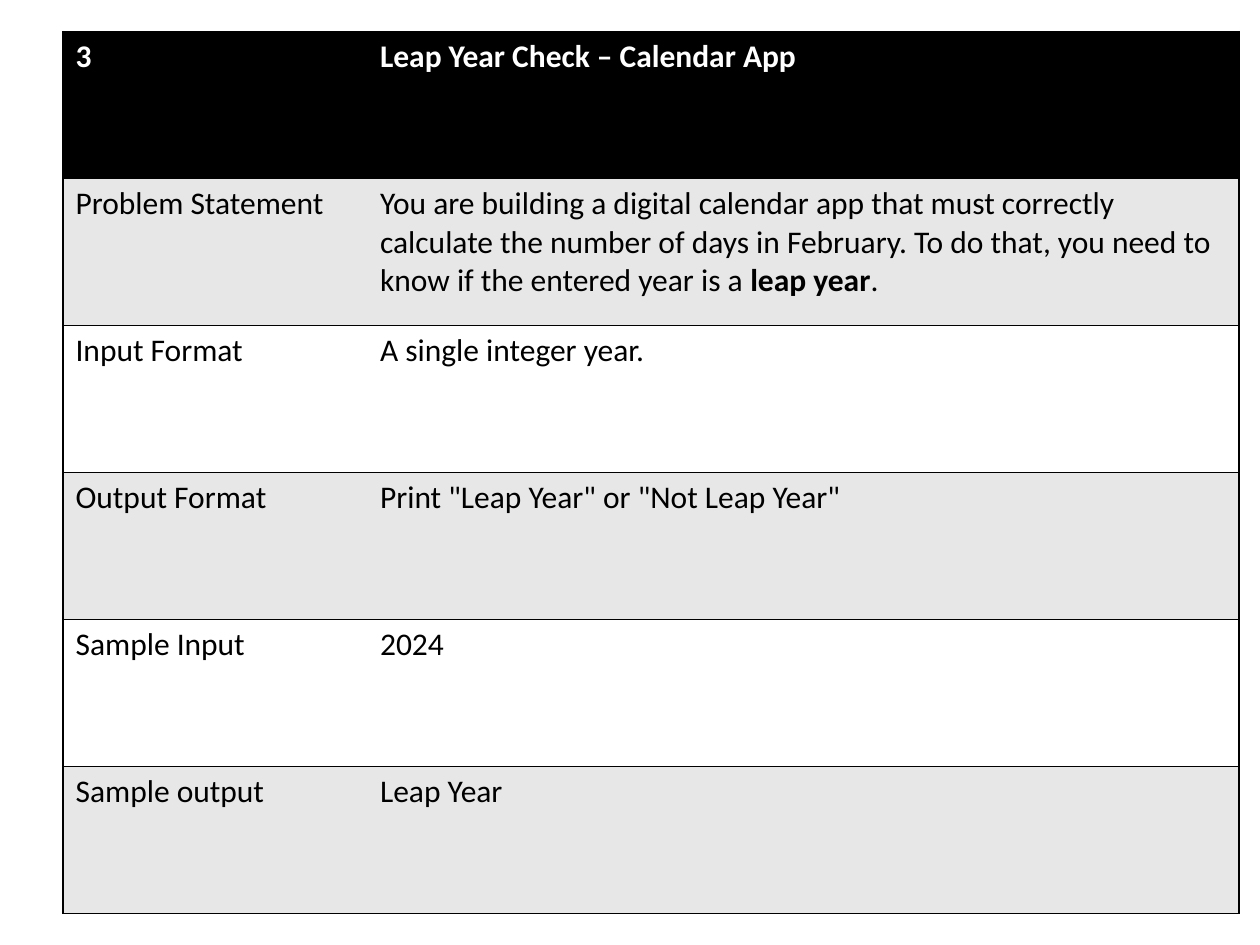
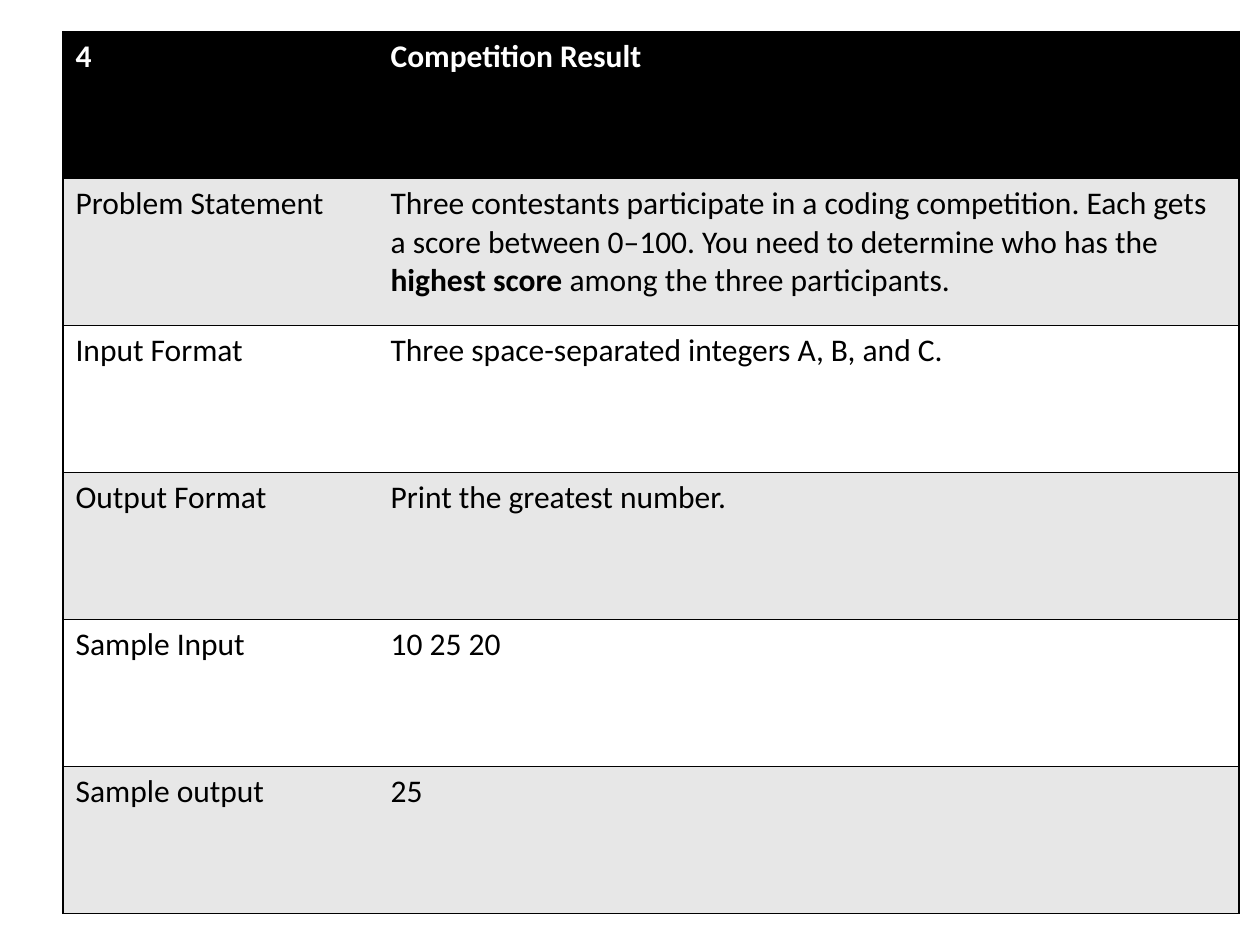
from lxml import etree
from pptx import Presentation
from pptx.dml.color import RGBColor
from pptx.oxml import ns
from pptx.util import Pt

BLACK, WHITE, GREY = "000000", "FFFFFF", "E7E7E7"
LABELS = ["Problem Statement", "Input Format", "Output Format", "Sample Input", "Sample output"]


def colour(hex_value):
    return RGBColor.from_string(hex_value)


def add_text(para, content, *, font="Calibri", size=18, fill=BLACK, bold=False):
    """Add one formatted span to a paragraph."""
    span = para.add_run()
    span.text = content
    span.font.name = font
    span.font.size = Pt(size)
    span.font.bold = bold
    span.font.color.rgb = colour(fill)


class Deck:
    """Holds the table style and the current page."""

    left, top, width, row_height = 36, 18, 672, 84

    def __init__(self):
        self.deck = Presentation()
        self.deck.slide_width, self.deck.slide_height = Pt(720), Pt(540)
        self.page = None

    def add_page(self):
        self.page = self.deck.slides.add_slide(self.deck.slide_layouts[6])

    def set_borders(self, cell, visible_sides):
        properties = cell._tc.get_or_add_tcPr()
        for side in "LRTB":
            line = etree.SubElement(properties, ns.qn(f"a:ln{side}"), w=str(Pt(1)))
            if side in visible_sides:
                solid = etree.SubElement(line, ns.qn("a:solidFill"))
                etree.SubElement(solid, ns.qn("a:srgbClr"), val=BLACK)
            else:
                etree.SubElement(line, ns.qn("a:noFill"))

    def add_cell(self, cell, spans, fill, sides, header):
        # Borders come before the fill in the cell properties
        self.set_borders(cell, sides)
        cell.fill.solid()
        cell.fill.fore_color.rgb = colour(fill)
        for content, bold in spans:
            add_text(cell.text_frame.paragraphs[0], content,
                     fill=WHITE if header else BLACK, bold=bold or header)

    def add_problem_table(self, number, title, answers, label_width):
        labels = [number, *LABELS]
        details = [[(title, True)], *answers]
        frame = self.page.shapes.add_table(
            len(labels), 2, Pt(self.left), Pt(self.top),
            Pt(self.width), Pt(self.row_height * len(labels)))
        table = frame.table
        table.columns[0].width = Pt(label_width)
        table.columns[1].width = Pt(self.width - label_width)
        for index, (label, detail) in enumerate(zip(labels, details)):
            header = index == 0
            fill = BLACK if header else GREY if index % 2 else WHITE
            self.add_cell(table.cell(index, 0), [(label, False)], fill, "LTB", header)
            self.add_cell(table.cell(index, 1), detail, fill, "RTB", header)


def plain(content):
    return [(content, False)]


def main():
    deck = Deck()

    # Leap year problem
    deck.add_page()
    deck.add_problem_table("3", "Leap Year Check – Calendar App", [
        [("You are building a digital calendar app that must correctly calculate the number "
          "of days in February. To do that, you need to know if the entered year is a ", False),
         ("leap year", True), (".", False)],
        plain("A single integer year."),
        plain('Print "Leap Year" or "Not Leap Year"'),
        plain("2024"),
        plain("Leap Year"),
    ], label_width=174)

    # Competition problem
    deck.add_page()
    deck.add_problem_table("4", "Competition Result", [
        [("Three contestants participate in a coding competition. Each gets a score between "
          "0–100. You need to determine who has the ", False),
         ("highest score", True), (" among the three participants.", False)],
        plain("Three space-separated integers A, B, and C."),
        plain("Print the greatest number."),
        plain("10 25 20"),
        plain("25"),
    ], label_width=180)

    deck.deck.save("out.pptx")


if __name__ == "__main__":
    main()
